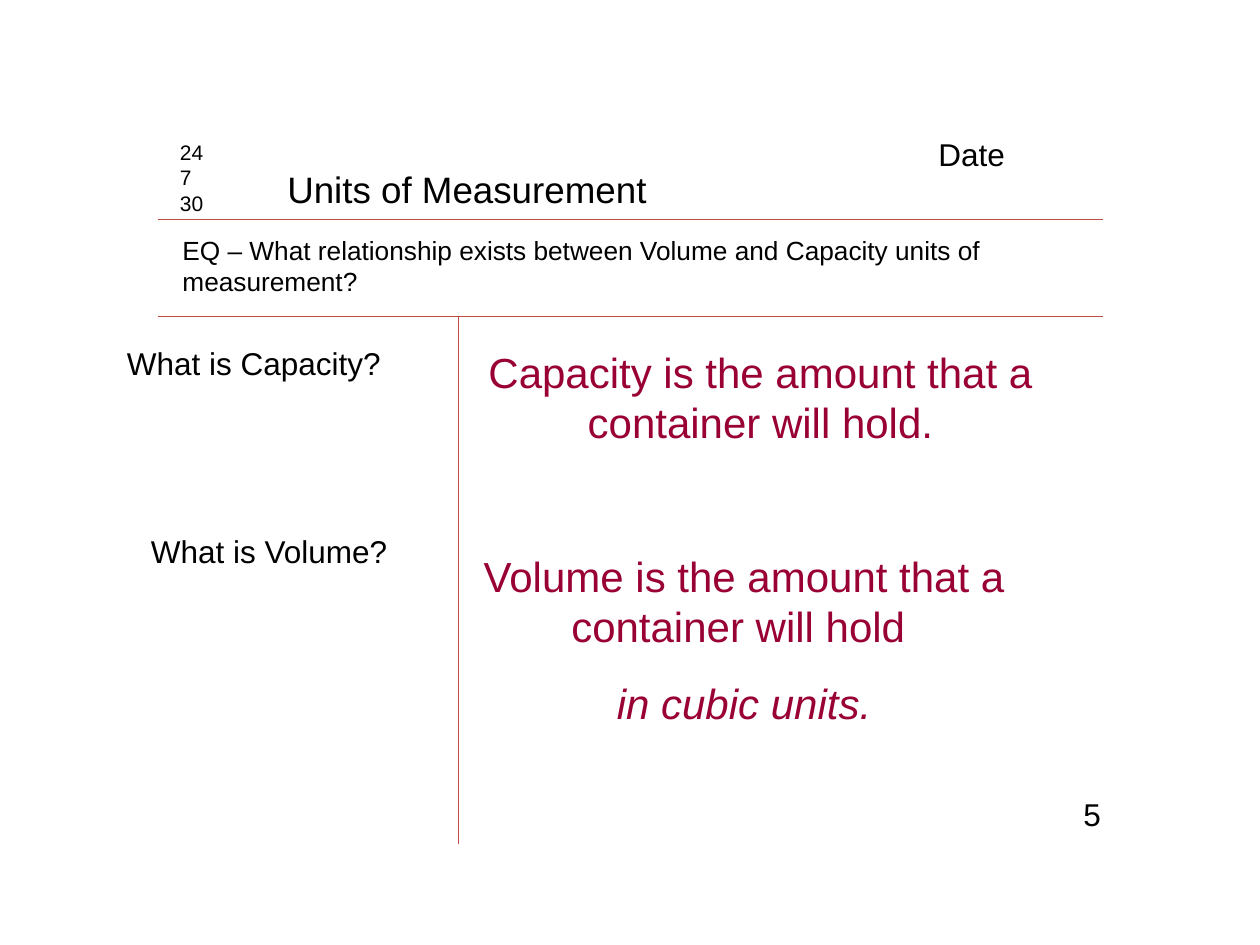
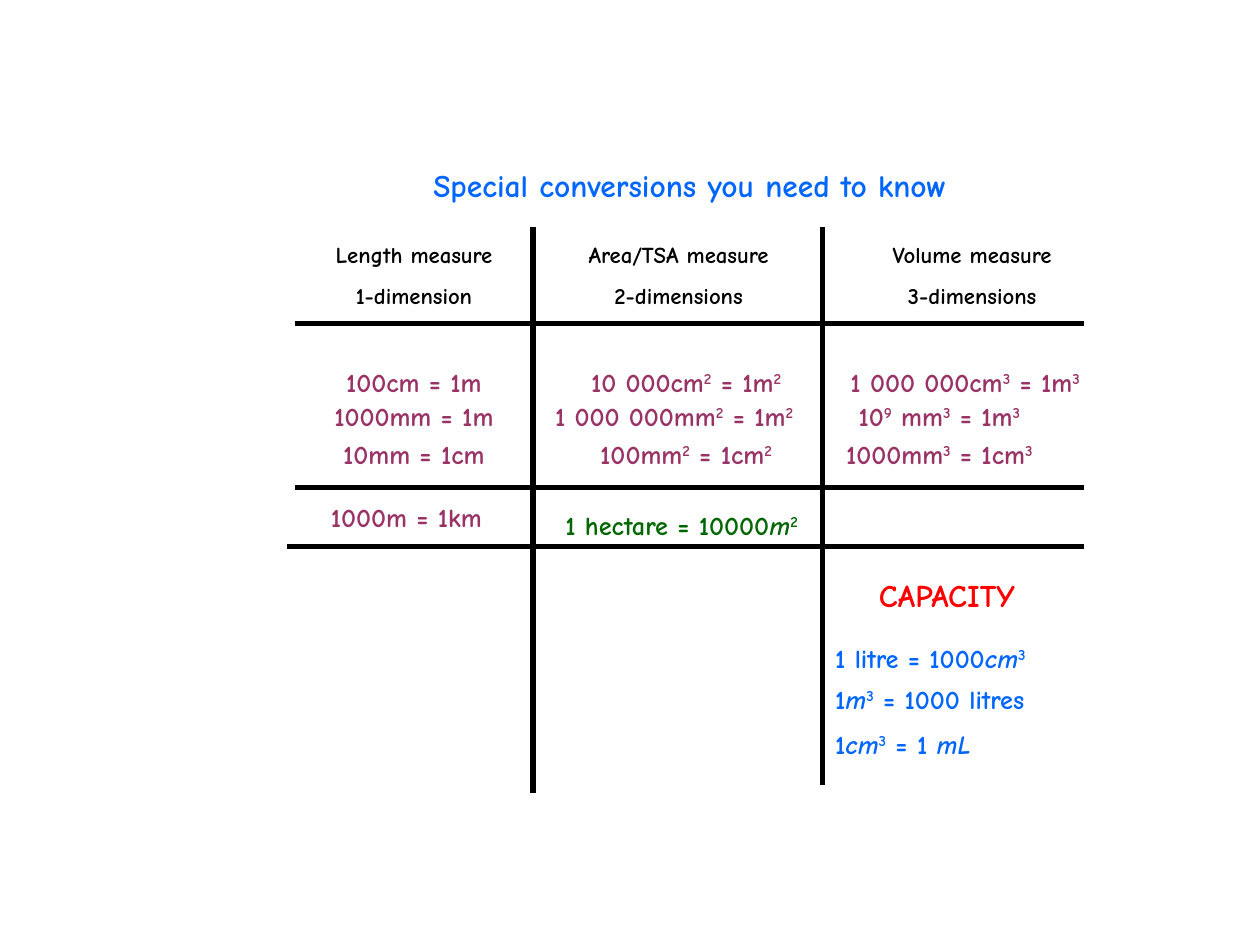
from lxml import etree
from pptx import Presentation, util as u
from pptx.dml.color import RGBColor
from pptx.enum import shapes, text
from pptx.oxml.ns import qn

COLORS = {
    "ink": "000000", "rule": "BE4B48", "answer": "990033", "title": "0066FF",
    "conversion": "993366", "hectare": "006600", "capacity": "FF0000",
}
COLS, ROWS = 100, 75
LEFT, CENTER = text.PP_ALIGN.LEFT, text.PP_ALIGN.CENTER


class Deck:
    """Style and current slide; lengths are columns and rows of the grid."""

    def __init__(self):
        self.prs = Presentation()
        self.prs.slide_width, self.prs.slide_height = u.Inches(10), u.Inches(7.5)
        self.col = self.prs.slide_width / COLS
        self.row = self.prs.slide_height / ROWS

    def start_slide(self, font, bold=False):
        self.font, self.bold = font, bold
        self.s = self.prs.slides.add_slide(self.prs.slide_layouts[5])

    def place(self, x, y, w, h):
        return [round(n) for n in (x * self.col, y * self.row, w * self.col, h * self.row)]

    def title(self, box, words, **style):
        sp = self.s.shapes.title
        sp.left, sp.top, sp.width, sp.height = self.place(*box)
        self.set_lines(sp.text_frame, [words], **style)

    def text(self, box, *lines, **style):
        sp = self.s.shapes.add_textbox(*self.place(*box))
        self.set_lines(sp.text_frame, lines, **style)

    def set_lines(self, tf, lines, size=18, color="ink", align=LEFT, gap=0):
        """Runs are parted by |; a leading ^ raises a run, a leading _ slants it."""
        tf.word_wrap = True
        tf.auto_size = text.MSO_AUTO_SIZE.SHAPE_TO_FIT_TEXT
        tf.vertical_anchor = text.MSO_ANCHOR.TOP
        for i, line in enumerate(lines):
            p = tf.add_paragraph() if i else tf.paragraphs[0]
            p.alignment = align
            p.space_before = u.Pt(gap if i else 0)
            for piece in line.split("|"):
                r = p.add_run()
                r.text = piece.lstrip("^_")
                r.font.name, r.font.size = self.font, u.Pt(size)
                r.font.bold, r.font.italic = self.bold, piece.startswith("_")
                r.font.color.rgb = RGBColor.from_string(COLORS[color])
                if piece.startswith("^"):
                    r._r.get_or_add_rPr().set("baseline", "30000")

    def line(self, x1, y1, x2, y2, color="ink", width=3):
        ends = self.place(x1, y1, x2, y2)
        c = self.s.shapes.add_connector(shapes.MSO_CONNECTOR.STRAIGHT, *ends)
        c.line.color.rgb = RGBColor.from_string(COLORS[color])
        c.line.width = u.Pt(width)
        etree.SubElement(c._element.spPr, qn("a:effectLst"))


def notes_page(d):
    d.start_slide("Arial")
    d.title((21.8, 12.7, 31, 4.5), "Units of Measurement", size=21)
    d.text((85, 62.6, 3.8, 4), "5")
    for y in (17.4, 25.1):
        d.line(12.5, y, 87.5, y, "rule", 0.75)
    d.line(36.4, 25.1, 36.4, 67, "rule", 0.75)
    d.text((13.3, 10.6, 4.7, 7), "24", "7", "30", size=12)
    d.text((73.5, 10.2, 13, 4), "Date")
    d.text((13.5, 18.1, 70.7, 6),
           "EQ – What relationship exists between Volume and Capacity units of measurement?",
           size=15)
    answer = dict(size=24, color="answer", align=CENTER, gap=15)
    d.text((9.1, 26.8, 27.3, 4), "What is Capacity?")
    d.text((37.2, 27, 46.3, 9), "Capacity is the amount that a container will hold.", **answer)
    d.text((11, 41.7, 22.7, 4), "What is Volume?")
    d.text((35.9, 43.2, 46.3, 15.1), "Volume is the amount that a container will hold ",
           "_in cubic units.", **answer)


def conversions(d):
    d.start_slide("Comic Neue", bold=True)
    d.title((27, 12.7, 55.5, 4), "Special conversions you need to know",
            color="title", align=CENTER)
    for x, bottom in ((42.3, 62.9), (65.3, 62.3)):
        d.line(x, 18, x, bottom)
    for left, y in ((23.4, 25.7), (23.4, 38.7), (22.8, 43.4)):
        d.line(left, y, 86, y)

    headings = [(24, 17.7, "Length measure", "1-dimension"),
                (44.1, 19.5, "Area/TSA measure", "2-dimensions"),
                (68.3, 17.7, "Volume measure", "3-dimensions")]
    for x, w, *lines in headings:
        d.text((x, 18.6, w, 6.5), *lines, size=13, align=CENTER, gap=8.1)

    row_tops = (28.6, 31.3, 34.3, 39.3)
    measures = [
        [(24.6, 16.5, "100cm = 1m"), (24.6, 16.5, "1000mm = 1m"),
         (24.6, 16.5, "10mm = 1cm"), (24, 16.5, "1000m = 1km")],
        [(44.7, 19.5, "10 000cm|^2| = 1m|^2"), (41.7, 23.6, "1 000 000mm|^2| = 1m|^2"),
         (44.7, 19.5, "100mm|^2| = 1cm|^2")],
        [(64.8, 23.6, "1 000 000cm|^3| = 1m|^3"), (64.8, 19.5, "10|^9| mm|^3| = 1m|^3"),
         (64.8, 19.5, "1000mm|^3| = 1cm|^3")],
    ]
    for measure in measures:
        for y, (x, w, words) in zip(row_tops, measure):
            d.text((x, y, w, 3.5), words, size=15, color="conversion", align=CENTER)
    d.text((42.3, 39.9, 23.6, 3.5), "1 hectare = 10000|_m|^2",
           size=15, color="hectare", align=CENTER)

    d.text((66, 45.2, 18.3, 4), "CAPACITY", color="capacity", align=CENTER)
    capacities = [(50.5, "1 litre = 1000|_cm|^3"), (53.7, "1|_m|^3| = 1000 litres"),
                  (57.3, "1|_cm|^3| = 1 |_mL")]
    for y, words in capacities:
        d.text((65.3, y, 22.2, 3.5), words, size=15, color="title")


def main():
    d = Deck()
    notes_page(d)
    conversions(d)
    d.prs.save("out.pptx")


if __name__ == "__main__":
    main()
